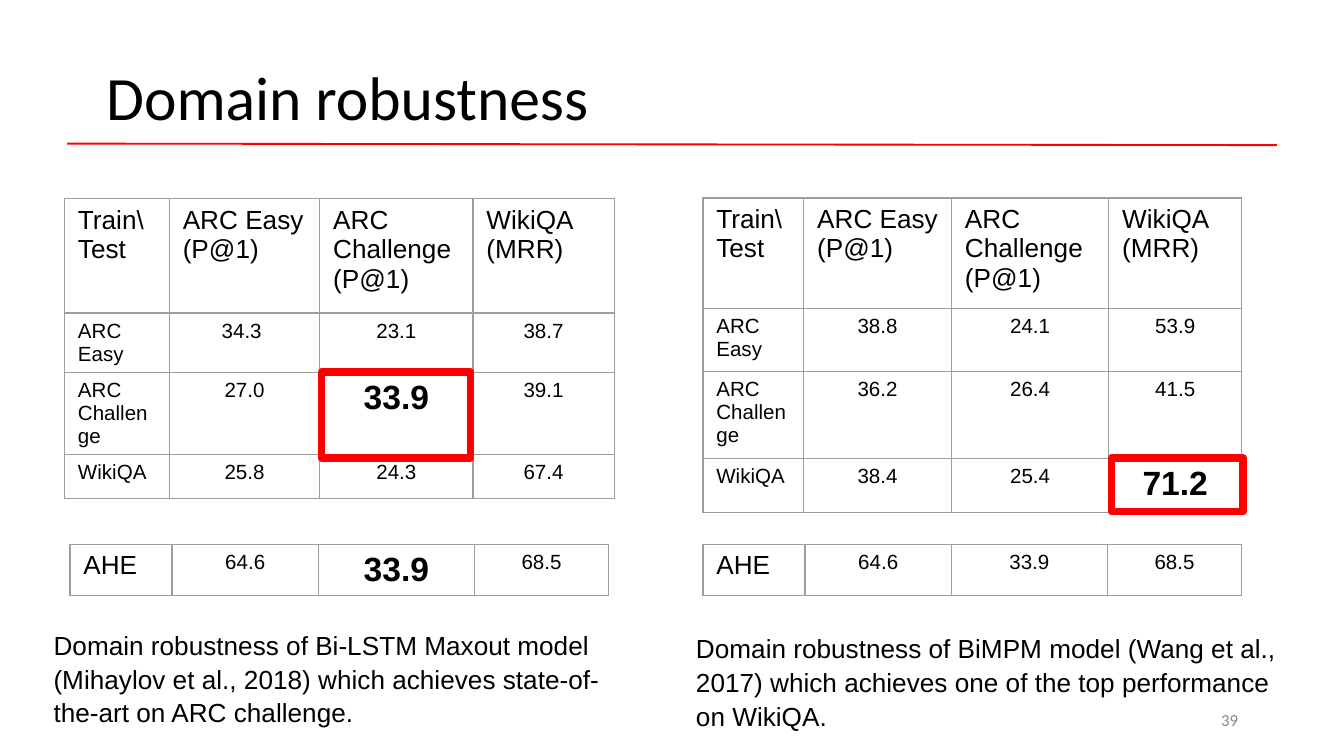
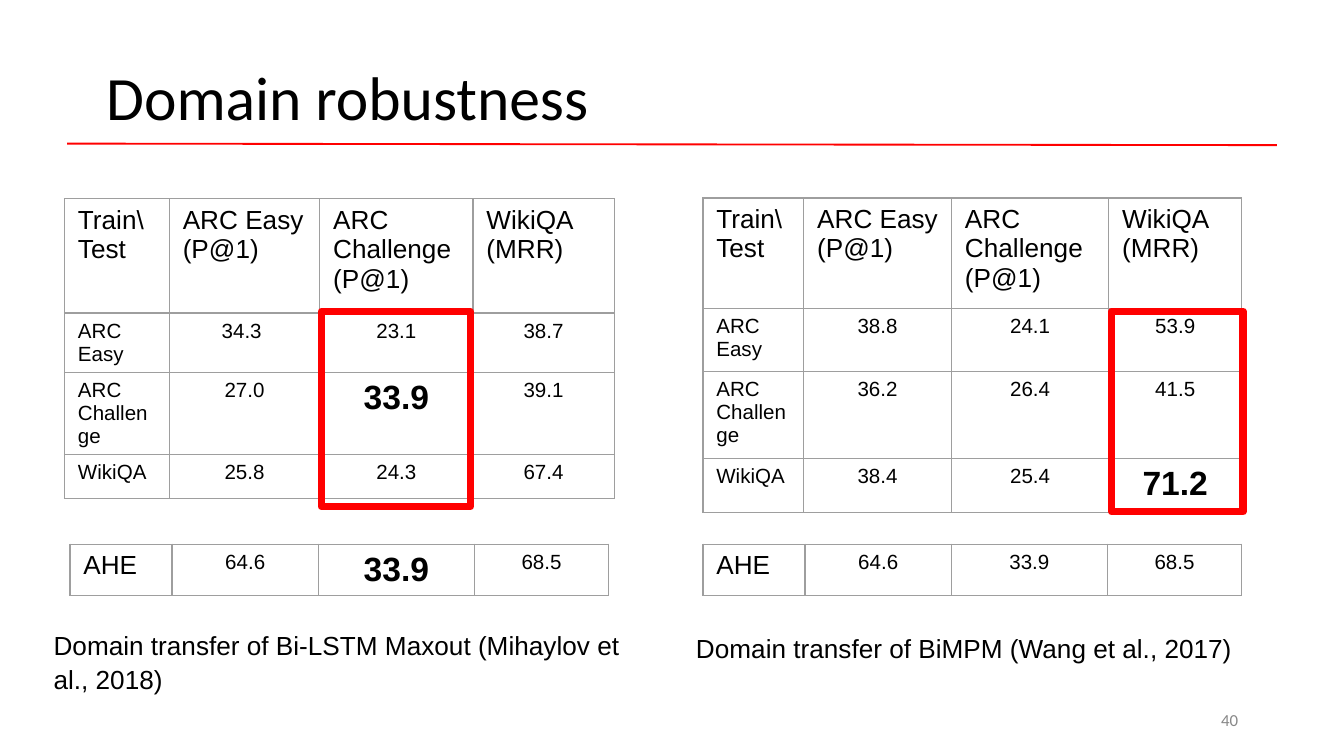
from lxml.etree import SubElement
from pptx import Presentation
from pptx.dml.color import RGBColor
from pptx.enum.shapes import MSO_CONNECTOR, MSO_SHAPE
from pptx.enum.text import MSO_ANCHOR, PP_ALIGN
from pptx.oxml import parse_xml
from pptx.oxml.ns import nsdecls, qn
from pptx.util import Inches, Pt

WIDE, HIGH = Inches(10), Inches(5.625)
HUES = {"ink": "000000", "red": "FF0000", "grid": "9E9E9E", "page": "888888"}
HEAD = ["Train\\Test", "ARC Easy (P@1)", "ARC Challenge\n(P@1)", "WikiQA\n(MRR)"]
AHE = ["AHE", "64.6", "33.9", "68.5"]
LARGE = {*HEAD, "AHE"}
AHE_COLS = [7.6, 10.9, 11.6, 10]

LEFT = {
    "place": (4.8, 26.3),
    "cols": [7.8, 11.2, 11.4, 10.5],
    "rows": [15.1, 7.6, 10.8, 5.9],
    "cells": [
        HEAD,
        ["ARC Easy", "34.3 ", "23.1", "38.7"],
        ["ARC Challenge", "27.0", "33.9", "39.1"],
        ["WikiQA", "25.8", "24.3", "67.4"],
    ],
    "best": "33.9",
    "ahe": (5.2, 72),
    "note": (3, 82),
    "mark": (23.9, 11.1),
}
RIGHT = {
    "place": (52.3, 26.2),
    "cols": [7.5, 11, 11.7, 9.9],
    "rows": [14.6, 7.6, 10.8, 6.8],
    "cells": [
        HEAD,
        ["ARC Easy", "38.8", "24.1", "53.9"],
        ["ARC Challenge", "36.2", "26.4", "41.5"],
        ["WikiQA", "38.4", "25.4", "71.2"],
    ],
    "best": "71.2",
    "ahe": (52.3, 72),
    "note": (50.8, 82.5),
    "mark": (82.7, 9.8),
}
PAGES = [
    ("39", [
        (LEFT, (49.2, 11.4), "Domain robustness of Bi-LSTM Maxout model (Mihaylov et al., 2018) "
                             "which achieves state-of-the-art on ARC challenge."),
        (RIGHT, (60.6, 7.1), "Domain robustness of BiMPM model (Wang et al., 2017) "
                             "which achieves one of the top performance on WikiQA."),
    ]),
    ("40", [
        (LEFT, (41.2, 25.8), "Domain transfer of Bi-LSTM Maxout (Mihaylov et al., 2018)"),
        (RIGHT, (41.2, 26.5), "Domain transfer of BiMPM (Wang et al., 2017)"),
    ]),
]


def across(share):
    return round(WIDE * share / 100)


def down(share):
    return round(HIGH * share / 100)


def area(x, y, w, h):
    return across(x), down(y), across(w), down(h)


def hue(name):
    return RGBColor.from_string(HUES[name])


def style(para, size, face="Arial", tint="ink", bold=False, align=PP_ALIGN.LEFT):
    para.alignment = align
    font = para.font
    font.size, font.name, font.bold = Pt(size), face, bold
    font.color.rgb = hue(tint)


def add_title(slide, text):
    title = slide.shapes.title
    title.left, title.top, title.width, title.height = area(6.9, 3.6, 86.2, 19.4)
    frame = title.text_frame
    frame.text = text
    frame.vertical_anchor = MSO_ANCHOR.MIDDLE
    para = frame.paragraphs[0]
    para.line_spacing = 0.9
    style(para, 33, "Calibri")


def add_rule(slide):
    rule = slide.shapes.add_connector(
        MSO_CONNECTOR.STRAIGHT, across(5), down(19), across(95), down(19.2))
    rule.line.color.rgb = hue("red")
    rule.line.width = Pt(1)
    SubElement(rule._element.spPr, qn("a:effectLst"))


def add_text(slide, place, text):
    frame = slide.shapes.add_textbox(*area(*place)).text_frame
    frame.word_wrap = True
    frame.text = text
    return frame


def add_note(slide, place, text):
    para = add_text(slide, (*place, 45.5, 14.4), text).paragraphs[0]
    para.line_spacing = 1.08
    style(para, 14)


def add_page(slide, text):
    frame = add_text(slide, (70.6, 92.6, 22.5, 5.3), text)
    frame.vertical_anchor = MSO_ANCHOR.MIDDLE
    style(frame.paragraphs[0], 9, "Calibri", "page", align=PP_ALIGN.RIGHT)


def add_mark(slide, x, y, w, h):
    box = slide.shapes.add_shape(MSO_SHAPE.RECTANGLE, *area(x, y, w, h))
    box.shadow.inherit = False
    box.fill.background()
    box.line.color.rgb = hue("red")
    box.line.width = Pt(4)


def edge(cell):
    props = cell._tc.get_or_add_tcPr()
    for spot, side in enumerate("LRTB"):
        props.insert(spot, parse_xml(
            f'<a:ln{side} {nsdecls("a")} w="{Pt(0.75)}"><a:solidFill>'
            f'<a:srgbClr val="{HUES["grid"]}"/></a:solidFill></a:ln{side}>'))


def fill_cell(cell, text, first, best):
    cell.text = text
    cell.fill.background()
    cell.margin_left = cell.margin_right = Inches(0.1)
    cell.margin_top = cell.margin_bottom = Inches(0.05)
    edge(cell)
    large, bold = text in LARGE, text == best
    size = 14 if large else 18 if bold else 11
    align = PP_ALIGN.LEFT if large or first else PP_ALIGN.CENTER
    for para in cell.text_frame.paragraphs:
        style(para, size, bold=bold, align=align)


def add_grid(slide, place, cols, rows, cells, best=None):
    grid = slide.shapes.add_table(
        len(rows), len(cols), *area(*place, sum(cols), sum(rows))).table
    grid.first_row = grid.horz_banding = False
    for col, share in zip(grid.columns, cols):
        col.width = across(share)
    for row, share, texts in zip(grid.rows, rows, cells):
        row.height = down(share)
        for spot, (cell, text) in enumerate(zip(row.cells, texts)):
            fill_cell(cell, text, spot == 0, best)


def add_side(slide, side, span, note):
    add_grid(slide, side["place"], side["cols"], side["rows"], side["cells"], side["best"])
    add_grid(slide, side["ahe"], AHE_COLS, [6.8], [AHE], side["best"])
    add_note(slide, side["note"], note)
    x, wide = side["mark"]
    top, high = span
    add_mark(slide, x, top, wide, high)


def main():
    deck = Presentation()
    deck.slide_width, deck.slide_height = WIDE, HIGH
    for page, sides in PAGES:
        slide = deck.slides.add_slide(deck.slide_layouts[5])
        add_title(slide, "Domain robustness")
        add_rule(slide)
        for side, span, note in sides:
            add_side(slide, side, span, note)
        add_page(slide, page)
    deck.save("out.pptx")


if __name__ == "__main__":
    main()
